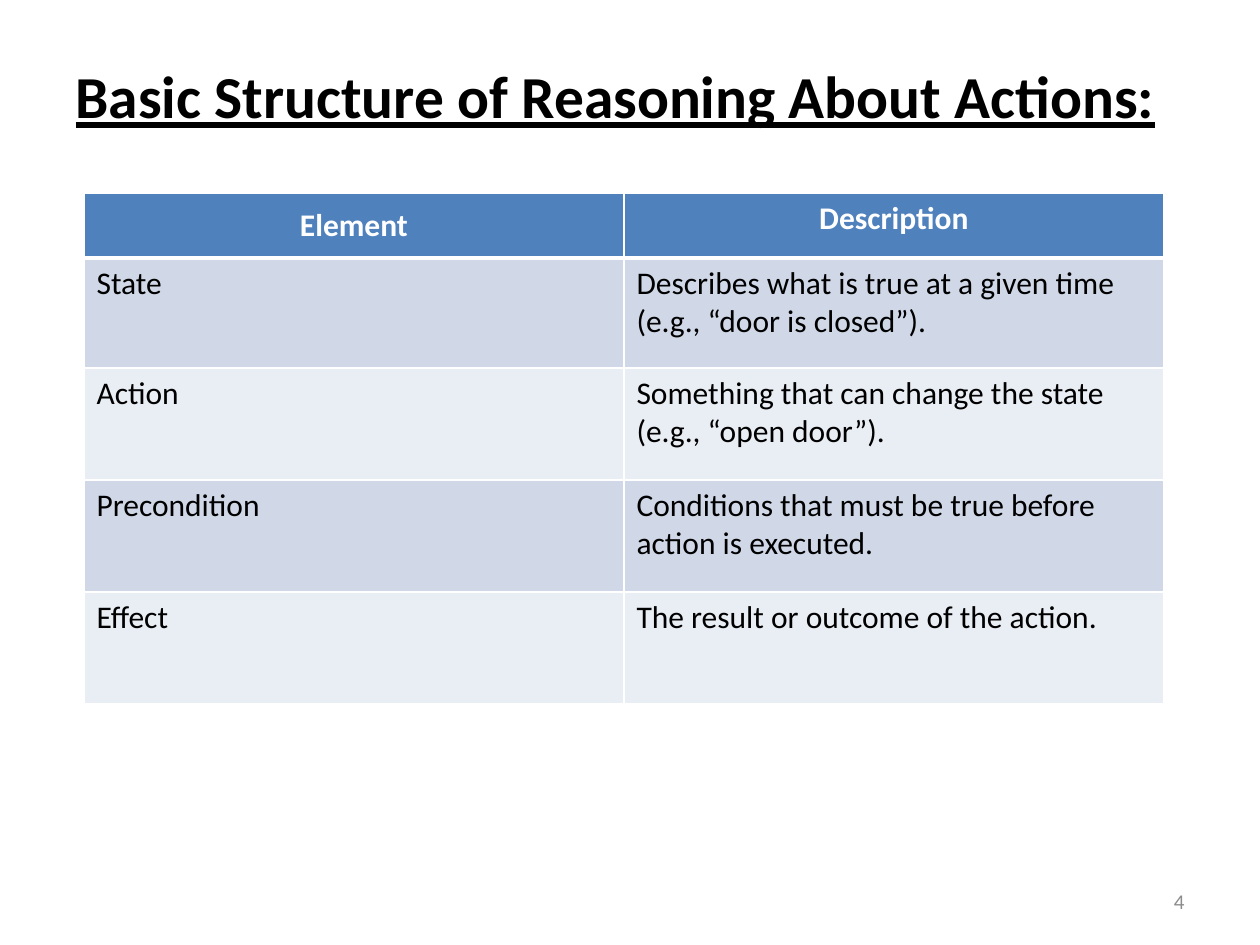
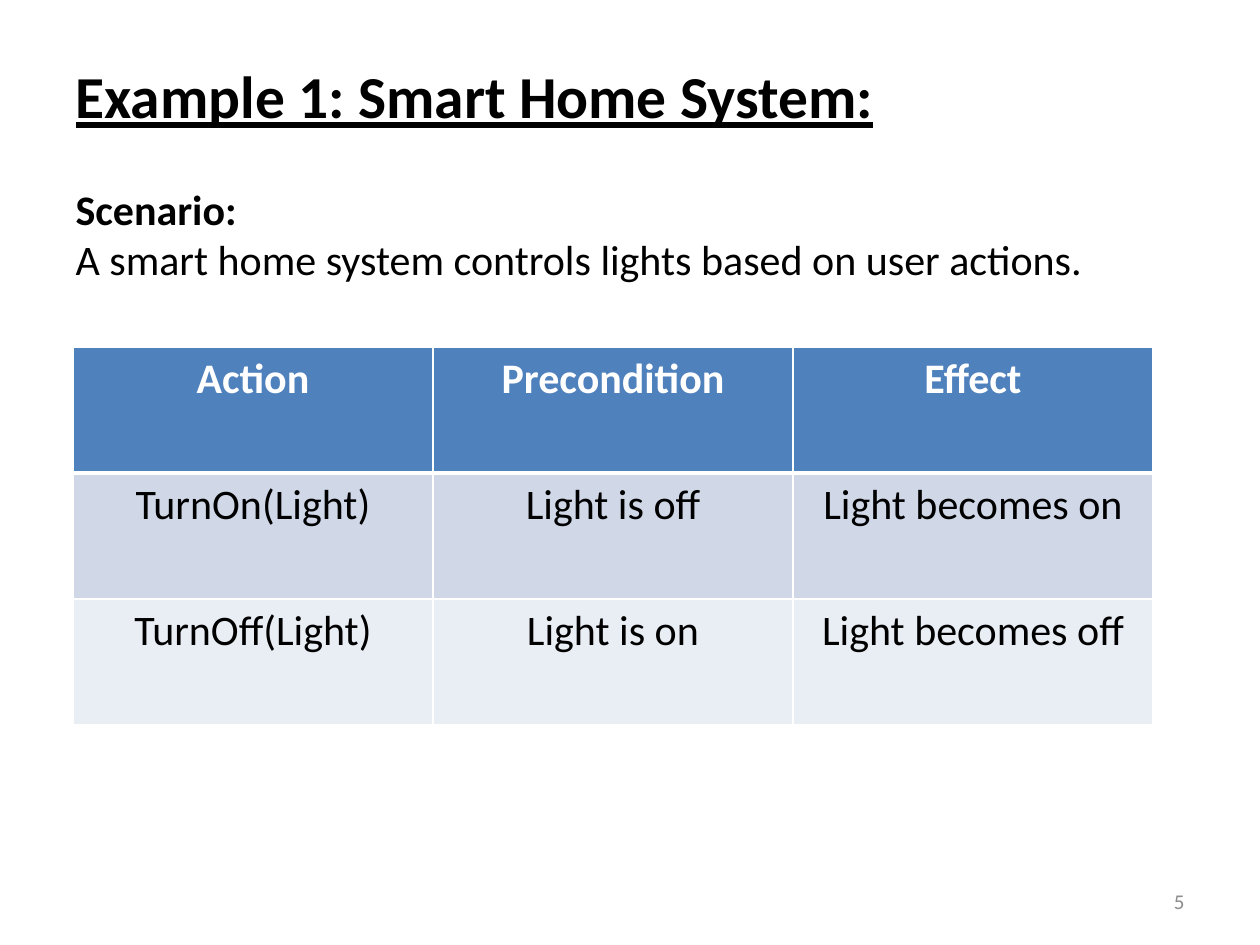
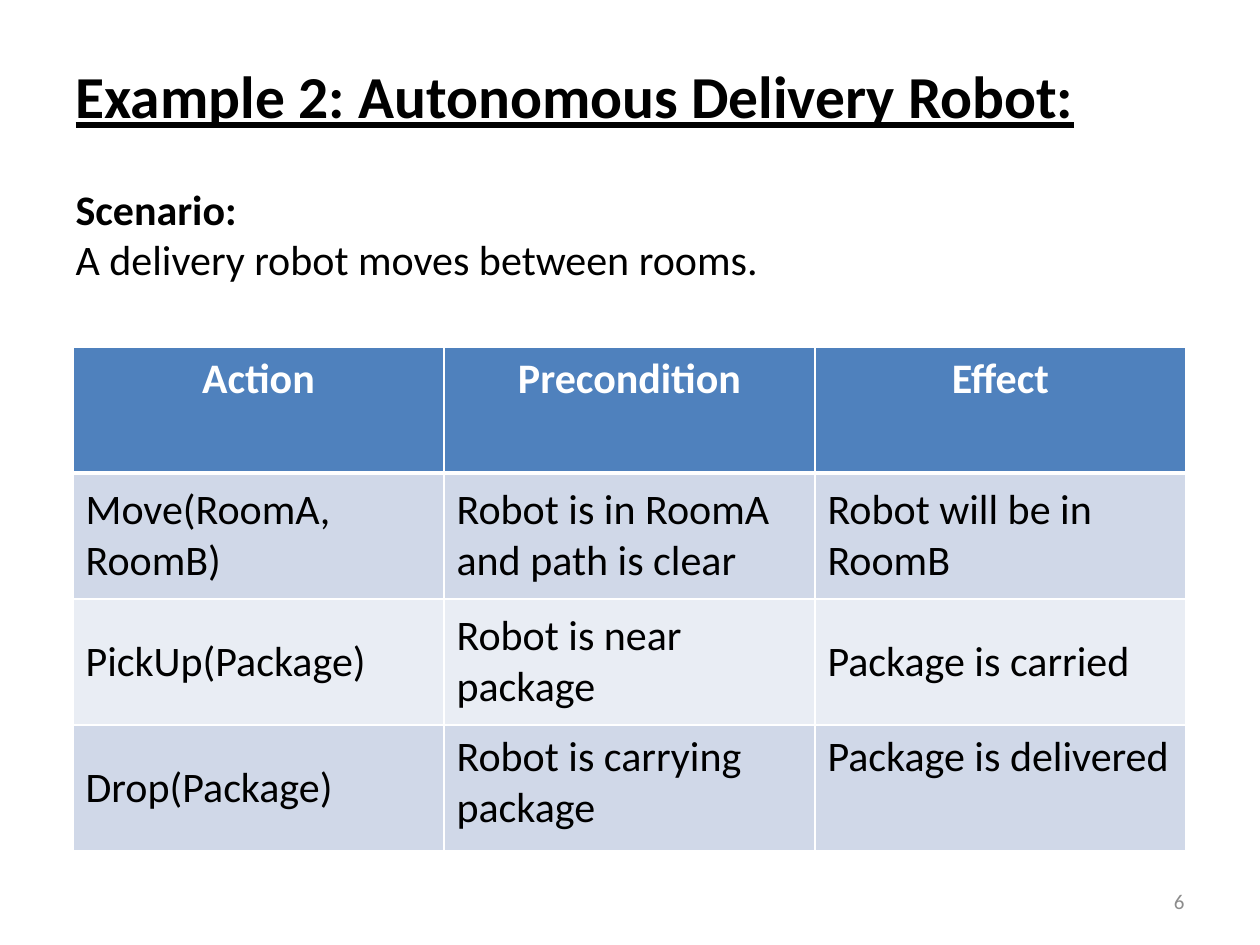
from itertools import product

from lxml import etree
from pptx import Presentation
from pptx.dml.color import RGBColor
from pptx.enum.text import MSO_ANCHOR, MSO_AUTO_SIZE, PP_ALIGN
from pptx.oxml.ns import qn
from pptx.util import Emu, Pt

TOP, MIDDLE = MSO_ANCHOR.TOP, MSO_ANCHOR.MIDDLE
LEFT, CENTER, RIGHT = PP_ALIGN.LEFT, PP_ALIGN.CENTER, PP_ALIGN.RIGHT
FIXED_SIZE = MSO_AUTO_SIZE.NONE

PX_PER_INCH = 126
FONT = "Calibri"
COLORS = {
    "text": "000000",
    "page_number": "8C8C8C",
    "header": "4F81BD",
    "header_text": "FFFFFF",
    "band_dark": "D0D8E8",
    "band_light": "E9EDF4",
    "grid": "FFFFFF",
}

TITLE_BOX = (63, 53, 1113, 90)
SCENARIO_BOX = (63, 177, 1113, 115)
NUMBER_BOX = (903, 876, 294, 50)
TITLE_ONLY, TITLE_AND_CONTENT = 5, 1


def px(length):
    return Emu(round(length * 914400 / PX_PER_INCH))


def place(shape, box):
    shape.left, shape.top, shape.width, shape.height = map(px, box)


def add_run(paragraph, text, size, color="text", bold=False, underline=False):
    run = paragraph.add_run()
    run.text = text
    font = run.font
    font.name, font.size, font.bold, font.underline = FONT, Pt(size), bold, underline
    font.color.rgb = RGBColor.from_string(COLORS[color])


def prepare_frame(shape, box, anchor):
    """Place a text shape and return its first paragraph."""
    place(shape, box)
    frame = shape.text_frame
    frame.word_wrap = True
    frame.auto_size = FIXED_SIZE
    frame.vertical_anchor = anchor
    return frame.paragraphs[0]


def add_title(slide, text, box):
    heading = prepare_frame(slide.shapes.title, box, TOP)
    heading.alignment = LEFT
    add_run(heading, text, 34, bold=True, underline=True)


def add_scenario(slide, text, box):
    scenario = prepare_frame(slide.placeholders[1], box, TOP)
    properties = scenario._p.get_or_add_pPr()
    properties.set("marL", "0")
    properties.set("indent", "0")
    etree.SubElement(properties, qn("a:buNone"))
    scenario.space_before = Pt(0)
    add_run(scenario, "Scenario:", 24, bold=True)
    scenario.add_line_break()
    add_run(scenario, text, 24)


def add_page_number(slide, number, box):
    footer = prepare_frame(slide.shapes.add_textbox(0, 0, 0, 0), box, MIDDLE)
    footer.alignment = RIGHT
    add_run(footer, str(number), 12, "page_number")


def set_borders(cell, row):
    """Draw thin grid lines, with a thick one between header and body."""
    widths = {"L": 1, "R": 1, "T": 3 if row == 1 else 1, "B": 3 if row == 0 else 1}
    properties = cell._tc.get_or_add_tcPr()
    for position, (side, width) in enumerate(widths.items()):
        line = etree.Element(qn(f"a:ln{side}"), w=str(Pt(width)))
        fill = etree.SubElement(line, qn("a:solidFill"))
        etree.SubElement(fill, qn("a:srgbClr"), val=COLORS["grid"])
        properties.insert(position, line)


def add_grid(slide, rows, origin, column_width, heights, size, body_align, middle):
    """Add a banded table; middle holds the (row, column) cells centred vertically."""
    columns = len(rows[0])
    box = (*origin, column_width * columns, sum(heights))
    table = slide.shapes.add_table(len(rows), columns, *map(px, box)).table
    for column in table.columns:
        column.width = px(column_width)
    for row, height in zip(table.rows, heights):
        row.height = px(height)
    for r, c in product(range(len(rows)), range(columns)):
        is_header = r == 0
        band = "header" if is_header else "band_dark" if r % 2 else "band_light"
        cell = table.cell(r, c)
        cell.fill.solid()
        cell.fill.fore_color.rgb = RGBColor.from_string(COLORS[band])
        set_borders(cell, r)
        cell.vertical_anchor = MIDDLE if (r, c) in middle else TOP
        entry = cell.text_frame.paragraphs[0]
        entry.alignment = CENTER if is_header else body_align
        add_run(entry, rows[r][c], size, "header_text" if is_header else "text", is_header)


def add_page(prs, layout, title, number):
    slide = prs.slides.add_slide(prs.slide_layouts[layout])
    add_page_number(slide, number, NUMBER_BOX)
    add_title(slide, title, TITLE_BOX)
    return slide


def structure_slide(prs, number, title, rows):
    slide = add_page(prs, TITLE_ONLY, title, number)
    add_grid(slide, rows, (84, 193), 540, (65, 110, 112, 112, 112), 18, LEFT, {(0, 0)})


def example_slide(prs, number, title, scenario, actions, column_width, body_align, middle):
    slide = add_page(prs, TITLE_AND_CONTENT, title, number)
    add_scenario(slide, scenario, SCENARIO_BOX)
    rows = [("Action", "Precondition", "Effect"), *actions]
    add_grid(slide, rows, (73, 347), column_width, [126] * len(rows), 24, body_align, middle)


def main():
    prs = Presentation()
    prs.slide_width, prs.slide_height = px(1260), px(945)
    structure_slide(prs, 4, "Basic Structure of Reasoning About Actions:", [
        ("Element", "Description"),
        ("State", "Describes what is true at a given time (e.g., “door is closed”)."),
        ("Action", "Something that can change the state (e.g., “open door”)."),
        ("Precondition", "Conditions that must be true before action is executed."),
        ("Effect", "The result or outcome of the action."),
    ])
    example_slide(
        prs, 5, "Example 1: Smart Home System:",
        "A smart home system controls lights based on user actions.",
        [
            ("TurnOn(Light)", "Light is off", "Light becomes on"),
            ("TurnOff(Light)", "Light is on", "Light becomes off"),
        ],
        column_width=360, body_align=CENTER, middle=set())
    example_slide(
        prs, 6, "Example 2: Autonomous Delivery Robot:",
        "A delivery robot moves between rooms.",
        [
            ("Move(RoomA, RoomB)", "Robot is in RoomA and path is clear",
             "Robot will be in RoomB"),
            ("PickUp(Package)", "Robot is near package", "Package is carried"),
            ("Drop(Package)", "Robot is carrying package", "Package is delivered"),
        ],
        column_width=371, body_align=LEFT,
        middle={*product((1, 2), range(3)), (3, 0)})
    prs.save("out.pptx")


if __name__ == "__main__":
    main()
